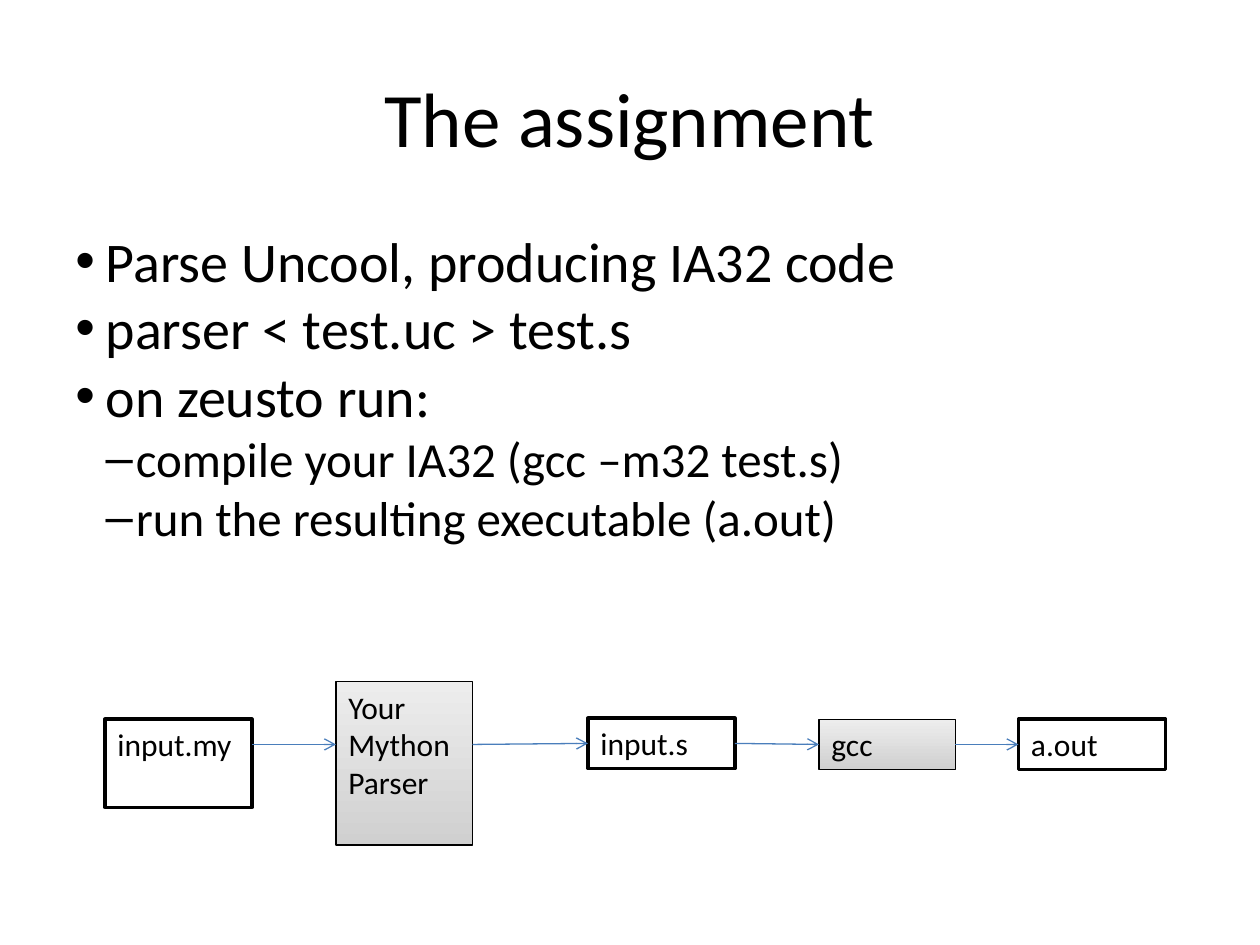
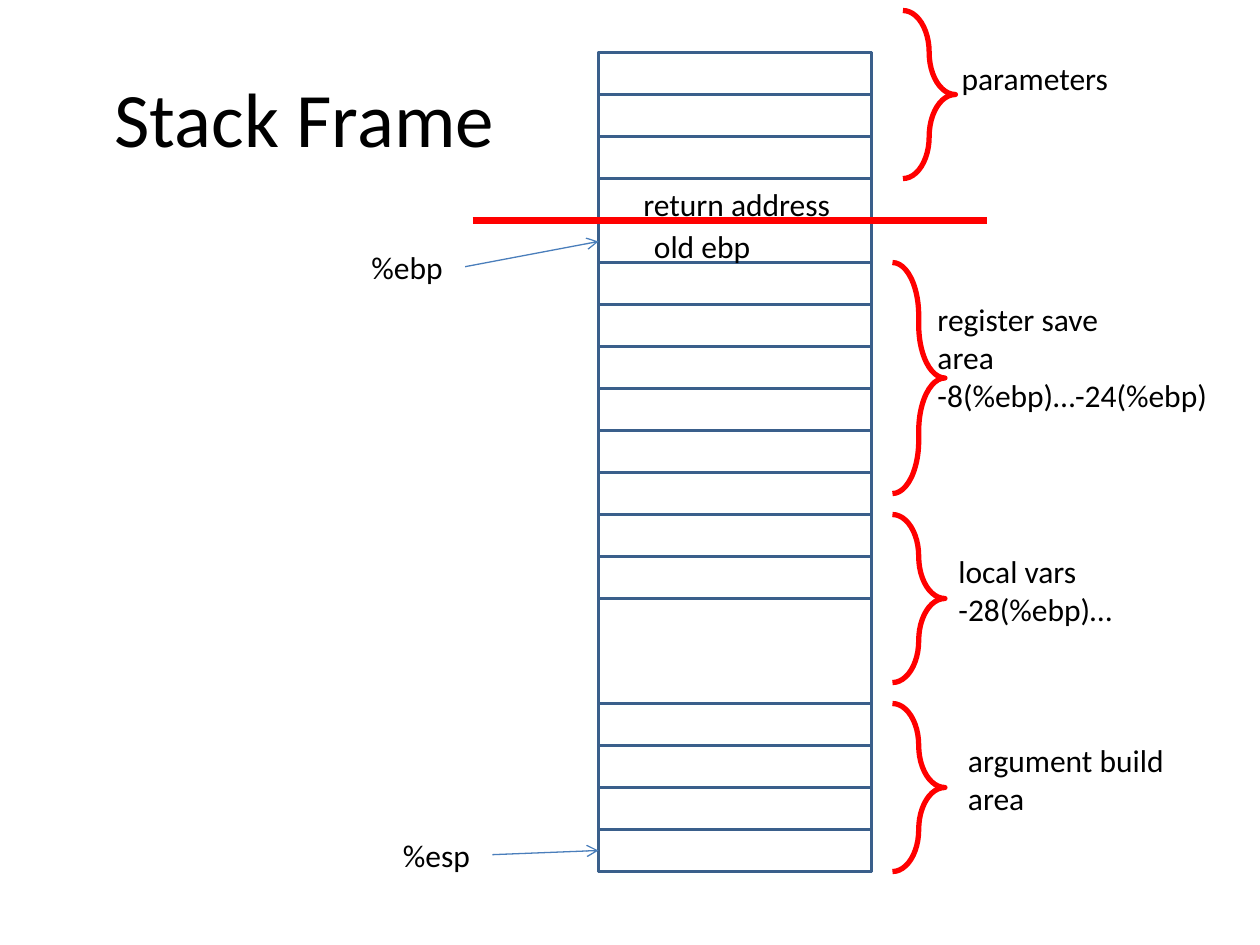
from pptx import Presentation, util as u
from pptx.dml import color as dml
from pptx.enum import shapes, text
from pptx.oxml import ns
from lxml import etree

# Shared style: a grid of 120 columns and 90 rows, twelve to the inch
COLS, ROWS = 120, 90
INK, PAPER, BLUE, FRAME, RED = "000000", "FFFFFF", "4A7EBB", "3A5F8B", "FF0000"
SHADE = ("D0D0D0", "EDEDED")
FONT = "Calibri"
NOTE, TITLE = 18, 44
LEVELS = (("•", 32), ("–", 28))
HANG = 0.24
TOP, MID = text.MSO_ANCHOR.TOP, text.MSO_ANCHOR.MIDDLE
LEFT, MIDDLE = text.PP_ALIGN.LEFT, text.PP_ALIGN.CENTER


def tint(code):
    return dml.RGBColor.from_string(code)


def assign(target, values):
    for name, value in values.items():
        setattr(target, name, value)


def child(parent, tag, **attrs):
    return etree.SubElement(parent, ns.qn(tag), attrs)


class Deck:
    def __init__(self):
        self.show = Presentation()
        assign(self.show, {"slide_width": u.Inches(10), "slide_height": u.Inches(7.5)})
        self.slide = None

    def start(self, title, width):
        self.slide = self.show.slides.add_slide(self.show.slide_layouts[6])
        self.label((6, 3.6, width, 15), title, size=TITLE, align=MIDDLE, anchor=MID)

    def place(self, *grid):
        """Turn column, row pairs into slide lengths."""
        sizes = (self.show.slide_width / COLS, self.show.slide_height / ROWS)
        return [round(n * sizes[i % 2]) for i, n in enumerate(grid)]

    def letter(self, frame, words, size=NOTE, align=LEFT, anchor=TOP):
        assign(frame, {"word_wrap": True, "vertical_anchor": anchor,
                       "text": words})
        for para in frame.paragraphs:
            para.alignment = align
            self.face(para, size)

    def face(self, para, size):
        assign(para.font, {"name": FONT, "size": u.Pt(size)})
        para.font.color.rgb = tint(INK)

    def label(self, area, words, **style):
        box = self.slide.shapes.add_textbox(*self.place(*area))
        self.letter(box.text_frame, words, **style)

    def bullets(self, area, items):
        frame = self.slide.shapes.add_textbox(*self.place(*area)).text_frame
        frame.word_wrap = True
        for i, (level, words) in enumerate(items):
            para = frame.add_paragraph() if i else frame.paragraphs[0]
            mark, size = LEVELS[level]
            assign(para, {"text": words, "level": level})
            self.face(para, size)
            props = para._p.get_or_add_pPr()
            props.set("marL", str(u.Inches(HANG * (level + 1))))
            props.set("indent", str(-u.Inches(HANG)))
            # Bullet marks precede the paragraph's default run format
            for i, (tag, key, value) in enumerate((("a:buFont", "typeface", "Arial"),
                                                   ("a:buChar", "char", mark))):
                props.insert(i, child(props, tag, **{key: value}))

    def shape(self, area, kind=shapes.MSO_SHAPE.RECTANGLE, fill=None, line=FRAME, weight=2):
        item = self.slide.shapes.add_shape(kind, *self.place(*area))
        item.shadow.inherit = False
        if fill is None:
            item.fill.background()
        elif isinstance(fill, str):
            item.fill.solid()
            item.fill.fore_color.rgb = tint(fill)
        else:
            item.fill.gradient()
            item.fill.gradient_angle = 90
            for stop, code in zip(item.fill.gradient_stops, fill):
                stop.color.rgb = tint(code)
        item.line.color.rgb = tint(line)
        item.line.width = u.Pt(weight)
        return item

    def brace(self, col, row, height):
        item = self.shape((col, row, 5, height), shapes.MSO_SHAPE.RIGHT_BRACE,
                          line=RED, weight=3)
        item.adjustments[0] = 1.01

    def link(self, start, end, color=BLUE, weight=0.75, arrow=True):
        """Join two ends, each a grid point or a box met at its side."""
        spots = [self.place(*e) if isinstance(e, tuple) else (0, 0) for e in (start, end)]
        wire = self.slide.shapes.add_connector(
            shapes.MSO_CONNECTOR.STRAIGHT, *spots[0], *spots[1])
        if not isinstance(start, tuple):
            wire.begin_connect(start, 3)
        if not isinstance(end, tuple):
            wire.end_connect(end, 1)
        wire.line.color.rgb = tint(color)
        wire.line.width = u.Pt(weight)
        props = wire._element.spPr
        if arrow:
            child(props.find(ns.qn("a:ln")), "a:tailEnd", type="arrow")
        child(props, "a:effectLst")


def task(deck):
    deck.start("The assignment", 108)
    deck.bullets((6, 21, 108, 59.4), (
        (0, "Parse Uncool, producing IA32 code"),
        (0, "parser < test.uc > test.s"),
        (0, "on zeusto run:"),
        (1, "compile your IA32 (gcc –m32 test.s)"),
        (1, "run the resulting executable (a.out)"),
    ))

    # Pipeline: plain boxes are data, shaded boxes are tools
    data = {"fill": PAPER, "line": INK, "weight": 2}
    tool = {"fill": SHADE, "line": INK, "weight": 0.75}
    steps = (
        ((10, 68.5, 14, 8.4), "input.my", data),
        ((32, 64.9, 13, 15.6), "Your Mython\nParser", tool),
        ((56, 68.4, 14, 4.8), "input.s", data),
        ((78, 68.5, 13, 4.8), "gcc", tool),
        ((97, 68.5, 14, 4.8), "a.out", data),
    )
    boxes = []
    for area, words, look in steps:
        boxes.append(deck.shape(area, **look))
        deck.letter(boxes[-1].text_frame, words)
    code, gcc, binary = boxes[2:]
    flow = 70.9
    for start, end in (((24, flow), (32, flow)), ((45, flow), code),
                       (code, gcc), (gcc, binary)):
        deck.link(start, end)


def stack(deck):
    deck.start("Stack Frame", 46)

    # Stack cells, with a gap in the local variables
    left, top, wide, cell = 57, 5, 26, 4
    deck.shape((left, top, wide, 78))
    rows = [*range(top, top + 13 * cell, cell), *range(67, 83, cell)]
    cells = [deck.shape((left, row, wide, cell)) for row in rows]
    deck.link((45, 21), (94, 21), RED, 4.5, arrow=False)

    # Pointers
    deck.link((44.3, 25.4), cells[4])
    deck.link((46.9, 81.4), cells[-1])

    # Braces
    for col, row, height in ((86, 1, 16), (85, 25, 22), (85, 49, 16), (85, 67, 16)):
        deck.brace(col, row, height)

    # Labels
    for area, words in (
        ((34.2, 23, 10.8, 4.8), "%ebp"),
        ((37.2, 79, 10.6, 4.8), "%esp"),
        ((60.1, 17, 24.2, 4.8), "return address"),
        ((61.1, 21, 13.6, 4.8), "old ebp"),
        ((90.4, 5, 19.8, 4.8), "parameters"),
        ((88.1, 28, 34.9, 12), "register save\narea\n-8(%ebp)…-24(%ebp)"),
        ((90.1, 52, 21.1, 8.4), "local vars\n-28(%ebp)…"),
        ((91, 70, 25.3, 8.4), "argument build\narea"),
    ):
        deck.label(area, words)


def main():
    deck = Deck()
    task(deck)
    stack(deck)
    deck.show.save("out.pptx")


if __name__ == "__main__":
    main()
